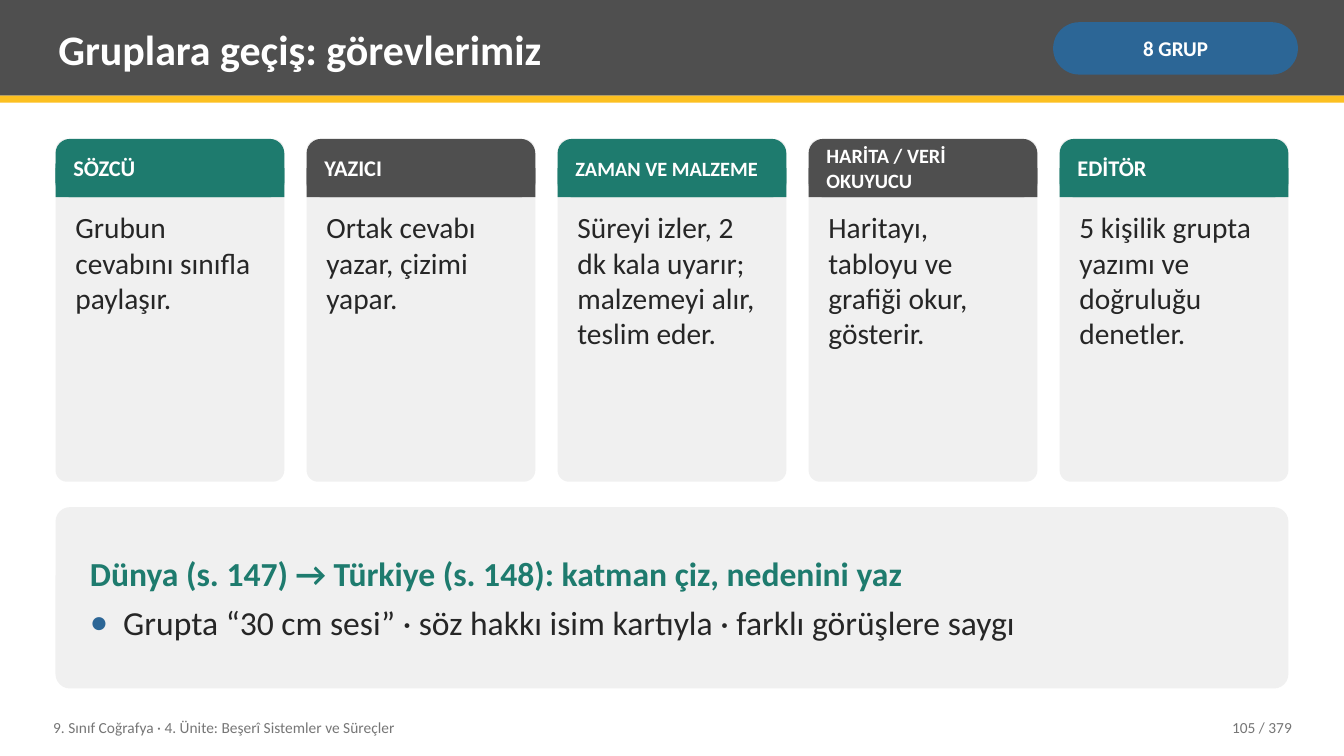
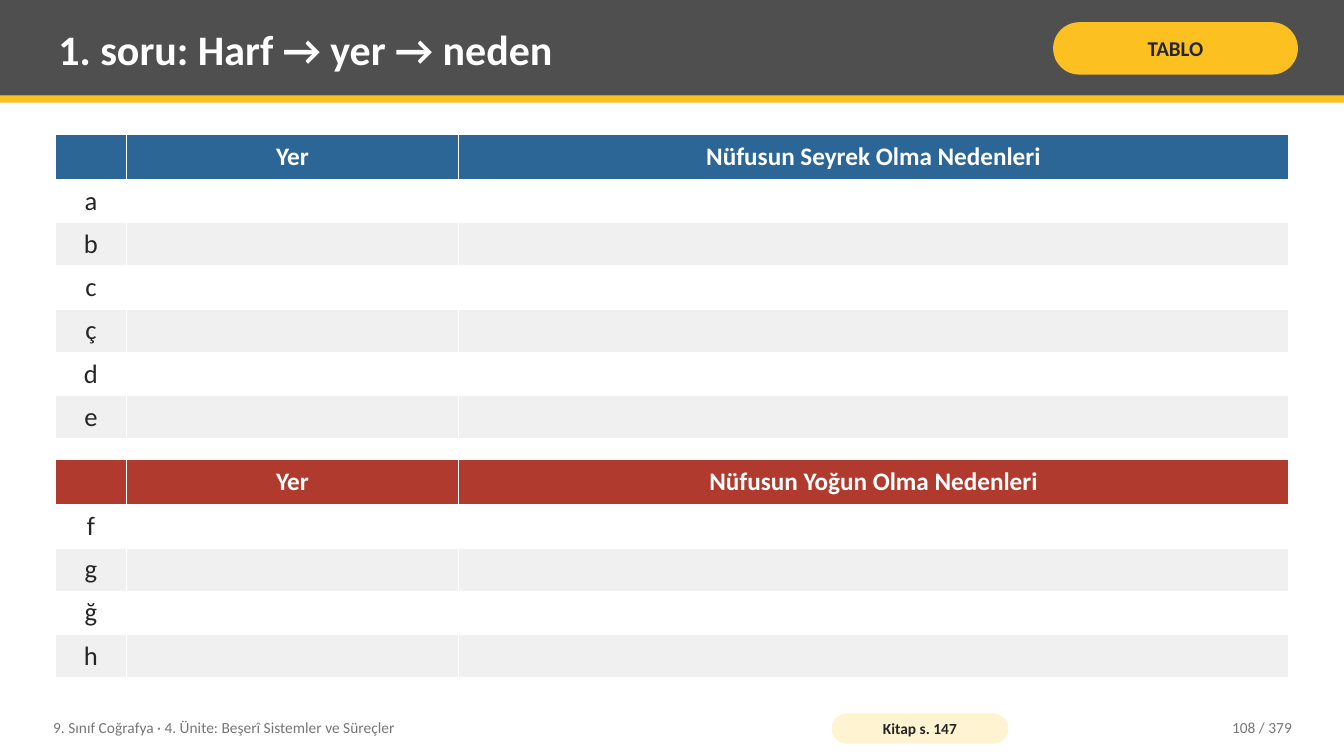
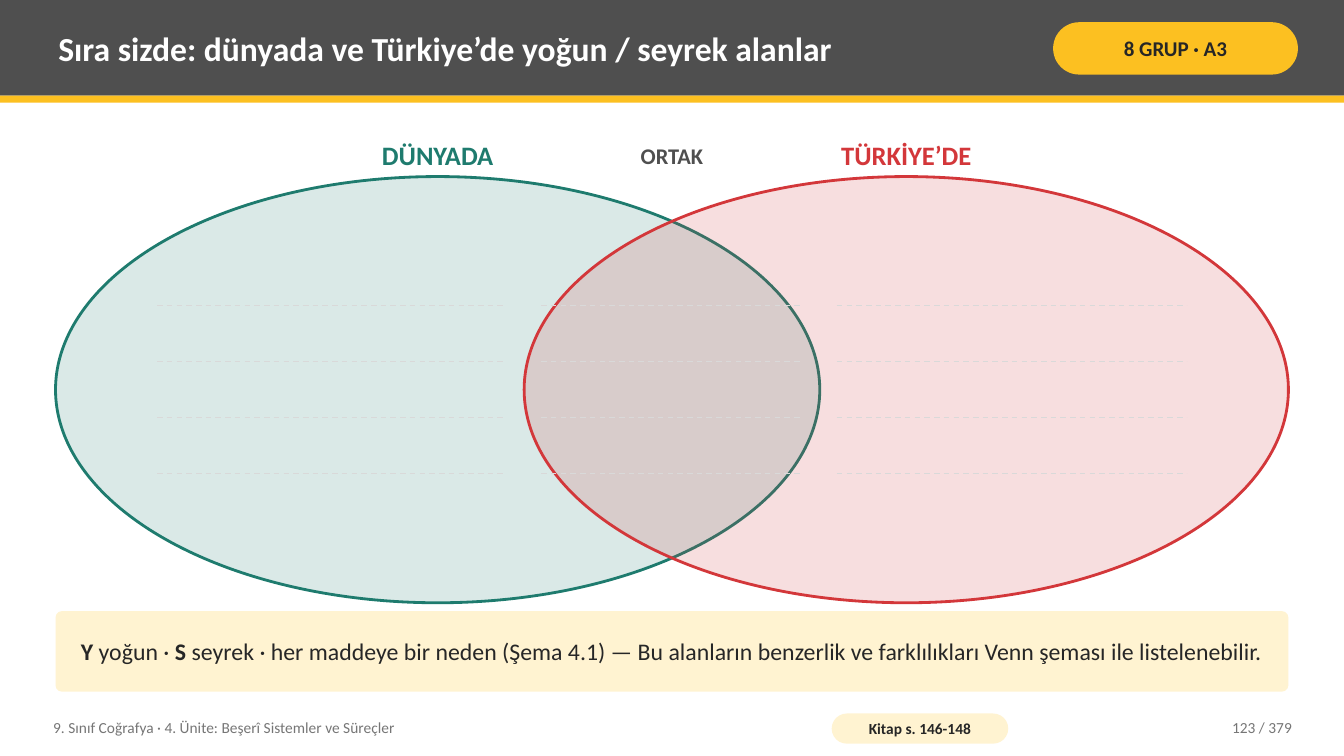
"""Build three geography lesson slides: group roles, answer tables and a Venn diagram."""
from collections import namedtuple

from lxml import etree
from pptx import Presentation
from pptx.dml.color import RGBColor
from pptx.enum.dml import MSO_LINE
from pptx.enum.shapes import MSO_CONNECTOR, MSO_SHAPE
from pptx.enum.text import MSO_ANCHOR, MSO_AUTO_SIZE, PP_ALIGN
from pptx.oxml.ns import qn
from pptx.util import Cm, Pt

RECTANGLE = MSO_SHAPE.RECTANGLE
ROUNDED = MSO_SHAPE.ROUNDED_RECTANGLE
ELLIPSE = MSO_SHAPE.OVAL
STRAIGHT = MSO_CONNECTOR.STRAIGHT
DASH = MSO_LINE.DASH
LEFT, CENTER, RIGHT = PP_ALIGN.LEFT, PP_ALIGN.CENTER, PP_ALIGN.RIGHT
TOP, MIDDLE = MSO_ANCHOR.TOP, MSO_ANCHOR.MIDDLE
NO_AUTOFIT = MSO_AUTO_SIZE.NONE

FONT = "Calibri"
GRAPHITE, GOLD, CREAM = "4F4F4F", "FCC021", "FFF3D1"
GREEN, BLUE, BRICK, RED = "1E7B6E", "2C6696", "B03A2E", "D3373A"
WHITE, PALE, RULE, MUTED, INK = "FFFFFF", "F0F0F0", "D9D9D9", "767676", "262626"

Box = namedtuple("Box", "left top width height")
SLIDE_WIDTH, SLIDE_HEIGHT = 33.87, 19.05
MARGIN = 1.4
CONTENT_WIDTH = 31.07
TEXT_INSET = (0.2, 0.1)
COURSE = "9. Sınıf Coğrafya · 4. Ünite: Beşerî Sistemler ve Süreçler"
PAGE_COUNT = 379


def rgb(color):
    """Turn a hex string into a colour."""
    return RGBColor.from_string(color)


def lengths(box):
    """Turn a box in centimetres into four lengths."""
    return [Cm(value) for value in box]


def style(font, size, color, bold=False):
    """Set the typeface, size, colour and weight of a font."""
    font.name, font.size, font.bold = FONT, Pt(size), bold
    font.color.rgb = rgb(color)


def frame_layout(frame, inset=TEXT_INSET, anchor=MIDDLE):
    """Set the margins, wrapping and anchor of a text frame."""
    frame.word_wrap = True
    frame.auto_size = NO_AUTOFIT
    frame.vertical_anchor = anchor
    frame.margin_left = frame.margin_right = Cm(inset[0])
    frame.margin_top = frame.margin_bottom = Cm(inset[1])


def write(frame, text, size, color, bold=False, align=LEFT, inset=TEXT_INSET, anchor=MIDDLE):
    """Fill a text frame with one uniformly formatted paragraph."""
    frame_layout(frame, inset, anchor)
    frame.text = text
    paragraph = frame.paragraphs[0]
    paragraph.alignment = align
    style(paragraph.runs[0].font, size, color, bold)


def add_text(page, box, text, size, color, **options):
    """Add a text box with one paragraph."""
    label = page.shapes.add_textbox(*lengths(box))
    write(label.text_frame, text, size, color, **options)


def add_panel(page, kind, box, fill, radius=None):
    """Add a flat shape without an outline."""
    panel = page.shapes.add_shape(kind, *lengths(box))
    panel.shadow.inherit = False
    panel.fill.solid()
    panel.fill.fore_color.rgb = rgb(fill)
    panel.line.fill.background()
    if radius is not None:
        panel.adjustments[0] = radius
    return panel


def add_pill(page, box, text, size, fill, color, inset):
    """Add a fully rounded label."""
    pill = add_panel(page, ROUNDED, box, fill, 0.5)
    write(pill.text_frame, text, size, color, bold=True, align=CENTER, inset=inset)


def add_header(page, box, title, title_size, tag, tag_fill, tag_color):
    """Draw the title band with its gold stripe and tag."""
    add_panel(page, RECTANGLE, box, GRAPHITE)
    add_panel(page, RECTANGLE, Box(box.left, box.top + box.height, box.width, 0.18), GOLD)
    heading = page.shapes.title
    heading.element.getparent().append(heading.element)
    heading.left, heading.top, heading.width, heading.height = lengths(
        Box(box.left + 1.27, box.top + 0.18, 24.77, 2.08))
    write(heading.text_frame, title, title_size, WHITE, bold=True)
    add_pill(page, Box(box.left + 26.54, box.top + 0.56, 6.17, 1.32),
             tag, 15, tag_fill, tag_color, (0.13, 0.05))


def add_footer(page, box, number, book_pages=None):
    """Write the course line, the optional book reference and the page number."""
    add_text(page, Box(box.left, box.top, 19.3, box.height), COURSE, 11, MUTED)
    if book_pages:
        add_pill(page, Box(box.left + 19.82, box.top + 0.1, 4.45, 0.76),
                 f"Kitap s. {book_pages}", 11, CREAM, INK, (0.1, 0))
    number_width = 4.06
    add_text(page, Box(box.left + box.width - number_width, box.top, number_width, box.height),
             f"{number} / {PAGE_COUNT}", 11, MUTED, align=RIGHT)


def new_page(deck, title, tag, number, title_size=30, tag_fill=GOLD, tag_color=INK,
             book_pages=None):
    """Add a title-only slide with the shared header and footer."""
    page = deck.slides.add_slide(deck.slide_layouts[5])
    add_header(page, Box(0, 0, SLIDE_WIDTH, 2.41), title, title_size, tag, tag_fill, tag_color)
    add_footer(page, Box(1.14, 17.88, 31.62, 0.91), number, book_pages)
    return page


def add_role_card(page, box, role, role_size, duty, color):
    """Draw one role card with a coloured head."""
    head = Box(box.left, box.top, box.width, 1.47)
    half = head.height / 2
    add_panel(page, ROUNDED, box, PALE, 0.05)
    add_panel(page, ROUNDED, head, color, 0.25)
    add_panel(page, RECTANGLE, Box(head.left, head.top + half, head.width, half), color)
    add_text(page, Box(head.left + 0.25, head.top, head.width - 0.5, head.height),
             role, role_size, WHITE, bold=True)
    add_text(page, Box(box.left + 0.3, box.top + 1.68, box.width - 0.6, box.height - 1.88),
             duty, 21, INK, anchor=TOP)


def add_role_row(page, box, roles, gap=0.56):
    """Spread the role cards evenly across the box."""
    width = (box.width - gap * (len(roles) - 1)) / len(roles)
    for index, (role, size, duty) in enumerate(roles):
        card = Box(box.left + index * (width + gap), box.top, width, box.height)
        add_role_card(page, card, role, size, duty, GRAPHITE if index % 2 else GREEN)


def add_bullet(paragraph, color, indent):
    """Give a paragraph a coloured bullet with a hanging indent."""
    properties = paragraph._p.get_or_add_pPr()
    properties.set("marL", str(Cm(indent)))
    properties.set("indent", str(-Cm(indent)))
    bullet_color = etree.SubElement(properties, qn("a:buClr"))
    etree.SubElement(bullet_color, qn("a:srgbClr"), val=color)
    etree.SubElement(properties, qn("a:buSzPct"), val="110000")
    etree.SubElement(properties, qn("a:buFont"), typeface=FONT)
    etree.SubElement(properties, qn("a:buChar"), char="•")


def add_task_note(page, box, task, rule):
    """Draw the panel with the task and the bulleted group rule."""
    frame = add_panel(page, ROUNDED, box, PALE, 0.08).text_frame
    write(frame, task, 24, GREEN, bold=True, inset=(0.76, 0.2))
    frame.paragraphs[0].space_after = Pt(6)
    paragraph = frame.add_paragraph()
    paragraph.text = rule
    paragraph.alignment = LEFT
    add_bullet(paragraph, BLUE, 0.84)
    style(paragraph.runs[0].font, 24, INK)


def add_cell_borders(cell):
    """Outline a cell with thin white lines."""
    properties = cell._tc.get_or_add_tcPr()
    for side in ("lnL", "lnR", "lnT", "lnB"):
        line = etree.SubElement(properties, qn(f"a:{side}"), w=str(Pt(0.96)))
        fill = etree.SubElement(line, qn("a:solidFill"))
        etree.SubElement(fill, qn("a:srgbClr"), val=WHITE)


def format_cell(cell, text, fill, size, color, bold):
    """Set the borders, fill and centred text of a cell."""
    add_cell_borders(cell)
    cell.fill.solid()
    cell.fill.fore_color.rgb = rgb(fill)
    cell.vertical_anchor = MIDDLE
    cell.margin_left = cell.margin_right = Cm(0.15)
    cell.margin_top = cell.margin_bottom = Cm(0.13)
    cell.text = text
    paragraph = cell.text_frame.paragraphs[0]
    paragraph.alignment = CENTER
    style(paragraph.font, size, color, bold)
    for span in paragraph.runs:
        style(span.font, size, color, bold)


def add_answer_table(page, left, top, width, reason, letters, color):
    """Add a table with one empty answer row for each letter."""
    columns = (1.78, 8.38, width - 10.16)
    heights = [1.14] + [1.09] * len(letters)
    box = Box(left, top, width, sum(heights))
    table = page.shapes.add_table(len(heights), len(columns), *lengths(box)).table
    for column, column_width in zip(table.columns, columns):
        column.width = Cm(column_width)
    for row, height in zip(table.rows, heights):
        row.height = Cm(height)
    rows = [("", "Yer", reason)] + [(letter, "", "") for letter in letters]
    for row_index, texts in enumerate(rows):
        for column_index, text in enumerate(texts):
            cell = table.cell(row_index, column_index)
            if row_index == 0:
                format_cell(cell, text, color, 18, WHITE, True)
            else:
                format_cell(cell, text, WHITE if row_index % 2 else PALE, 19, INK, False)


def add_venn_set(page, box, name, color):
    """Draw one translucent set with its name above it."""
    label_height = 1.07
    ellipse = add_panel(page, ELLIPSE, box, color)
    fill = ellipse.element.spPr.find(qn("a:solidFill"))
    etree.SubElement(fill[0], qn("a:alpha"), val="16000")
    ellipse.line.color.rgb = rgb(color)
    ellipse.line.width = Pt(2)
    add_text(page, Box(box.left, box.top - label_height, box.width, label_height),
             name, 19, color, bold=True, align=CENTER)


def add_writing_line(page, start, end, height):
    """Draw one dashed writing line."""
    line = page.shapes.add_connector(STRAIGHT, Cm(start), Cm(height), Cm(end), Cm(height))
    line.line.color.rgb = rgb(RULE)
    line.line.width = Pt(1)
    line.line.dash_style = DASH
    etree.SubElement(line.element.spPr, qn("a:effectLst"))


def add_venn(page, box, left_name, shared_name, right_name):
    """Draw two overlapping sets with writing lines in each region."""
    set_width = 19.26
    outer, inner = 2.56, 0.43
    right_edge = box.left + box.width
    overlap_start, overlap_end = right_edge - set_width, box.left + set_width
    add_venn_set(page, box._replace(width=set_width), left_name, GREEN)
    add_venn_set(page, box._replace(left=overlap_start, width=set_width), right_name, RED)
    add_text(page, Box(overlap_start, box.top - 1.07, overlap_end - overlap_start, 1.07),
             shared_name, 16, GRAPHITE, bold=True, align=CENTER)
    regions = (
        (box.left + outer, overlap_start - inner),
        (overlap_start + inner, overlap_end - inner),
        (overlap_end + inner, right_edge - outer),
    )
    for start, end in regions:
        for row in range(4):
            add_writing_line(page, start, end, box.top + 3.25 + row * 1.41)


def add_hint(page, box, spans):
    """Draw the hint strip from pairs of text and weight."""
    frame = add_panel(page, ROUNDED, box, CREAM, 0.08).text_frame
    frame_layout(frame, (0.51, 0.2))
    paragraph = frame.paragraphs[0]
    paragraph.alignment = CENTER
    for text, bold in spans:
        span = paragraph.add_run()
        span.text = text
        style(span.font, 17, INK, bold)


def build_roles(deck):
    """Build the slide with the group roles."""
    page = new_page(deck, "Gruplara geçiş: görevlerimiz", "8 GRUP", 105,
                    tag_fill=BLUE, tag_color=WHITE)
    add_role_row(page, Box(MARGIN, 3.5, CONTENT_WIDTH, 8.64), (
        ("SÖZCÜ", 16, "Grubun cevabını sınıfla paylaşır."),
        ("YAZICI", 16, "Ortak cevabı yazar, çizimi yapar."),
        ("ZAMAN VE MALZEME", 14.5,
         "Süreyi izler, 2 dk kala uyarır; malzemeyi alır, teslim eder."),
        ("HARİTA / VERİ OKUYUCU", 14.5, "Haritayı, tabloyu ve grafiği okur, gösterir."),
        ("EDİTÖR", 16, "5 kişilik grupta yazımı ve doğruluğu denetler."),
    ))
    add_task_note(page, Box(MARGIN, 12.78, CONTENT_WIDTH, 4.57),
                  "Dünya (s. 147) → Türkiye (s. 148): katman çiz, nedenini yaz",
                  "Grupta “30 cm sesi” · söz hakkı isim kartıyla · farklı görüşlere saygı")


def build_tables(deck):
    """Build the slide with the two answer tables."""
    page = new_page(deck, "1. soru: Harf → yer → neden", "TABLO", 108, book_pages="147")
    add_answer_table(page, MARGIN, 3.38, CONTENT_WIDTH,
                     "Nüfusun Seyrek Olma Nedenleri", "abcçde", BLUE)
    add_answer_table(page, MARGIN, 11.58, CONTENT_WIDTH,
                     "Nüfusun Yoğun Olma Nedenleri", "fgğh", BRICK)


def build_venn(deck):
    """Build the slide with the Venn diagram."""
    page = new_page(deck, "Sıra sizde: dünyada ve Türkiye’de yoğun / seyrek alanlar",
                    "8 GRUP · A3", 123, title_size=24, book_pages="146-148")
    add_venn(page, Box(MARGIN, 4.45, CONTENT_WIDTH, 10.74), "DÜNYADA", "ORTAK", "TÜRKİYE’DE")
    add_hint(page, Box(MARGIN, 15.4, CONTENT_WIDTH, 2.03), (
        ("Y", True),
        (" yoğun · ", False),
        ("S", True),
        (" seyrek · her maddeye bir neden (Şema 4.1) — Bu alanların benzerlik ve "
         "farklılıkları Venn şeması ile listelenebilir.", False),
    ))


def main():
    """Build and save the deck."""
    deck = Presentation()
    deck.slide_width, deck.slide_height = Cm(SLIDE_WIDTH), Cm(SLIDE_HEIGHT)
    build_roles(deck)
    build_tables(deck)
    build_venn(deck)
    deck.save("out.pptx")


if __name__ == "__main__":
    main()
